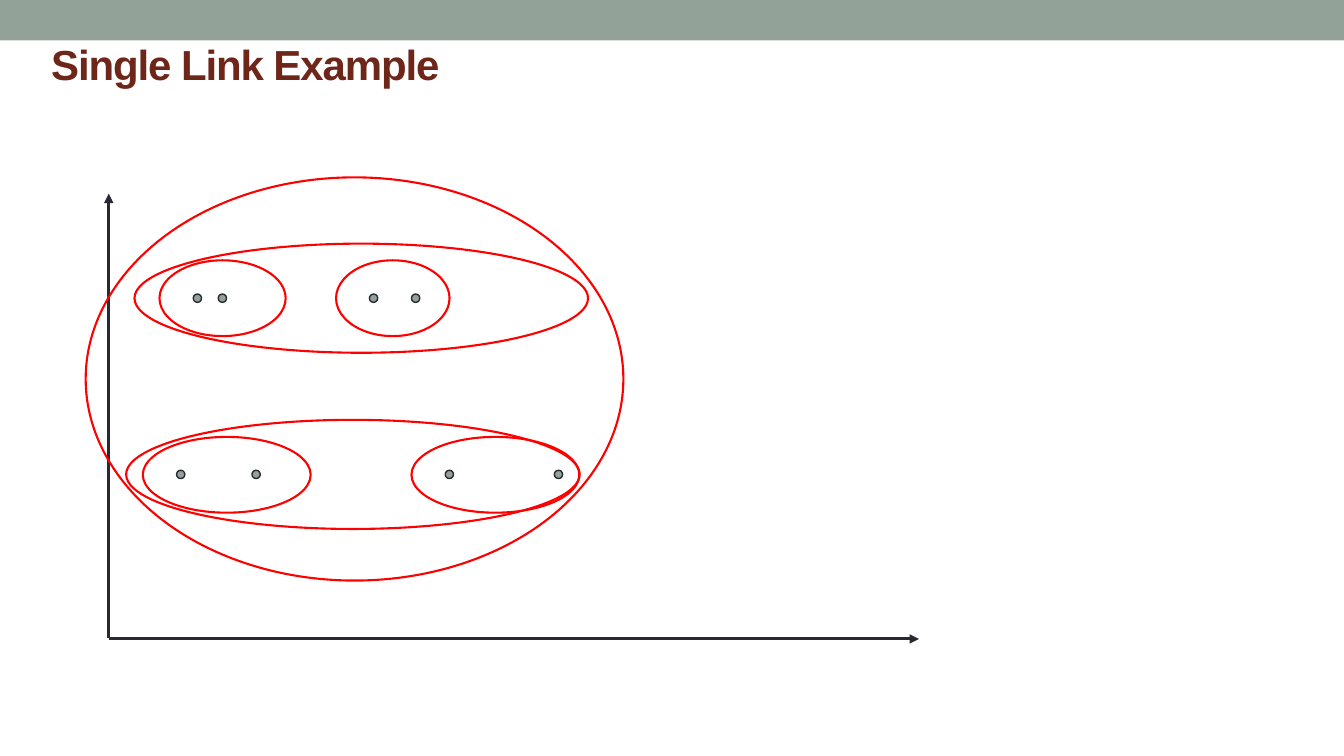
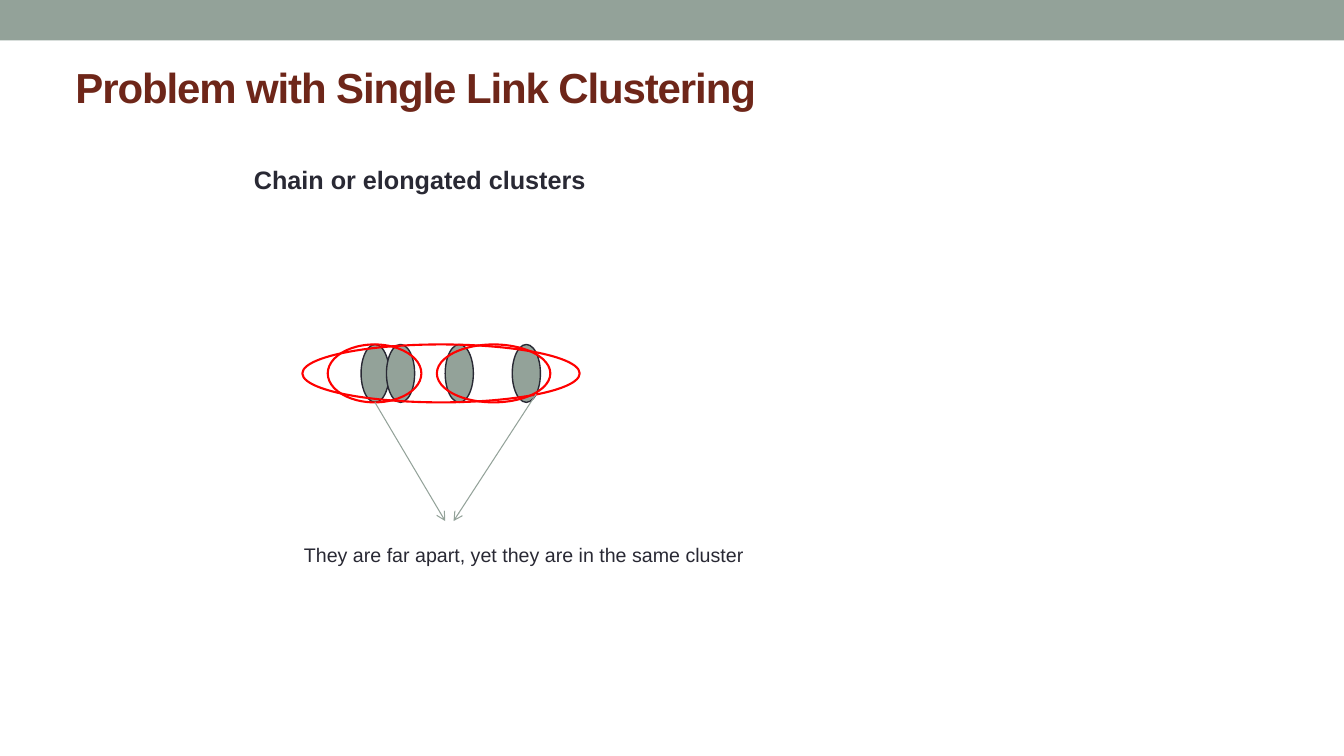
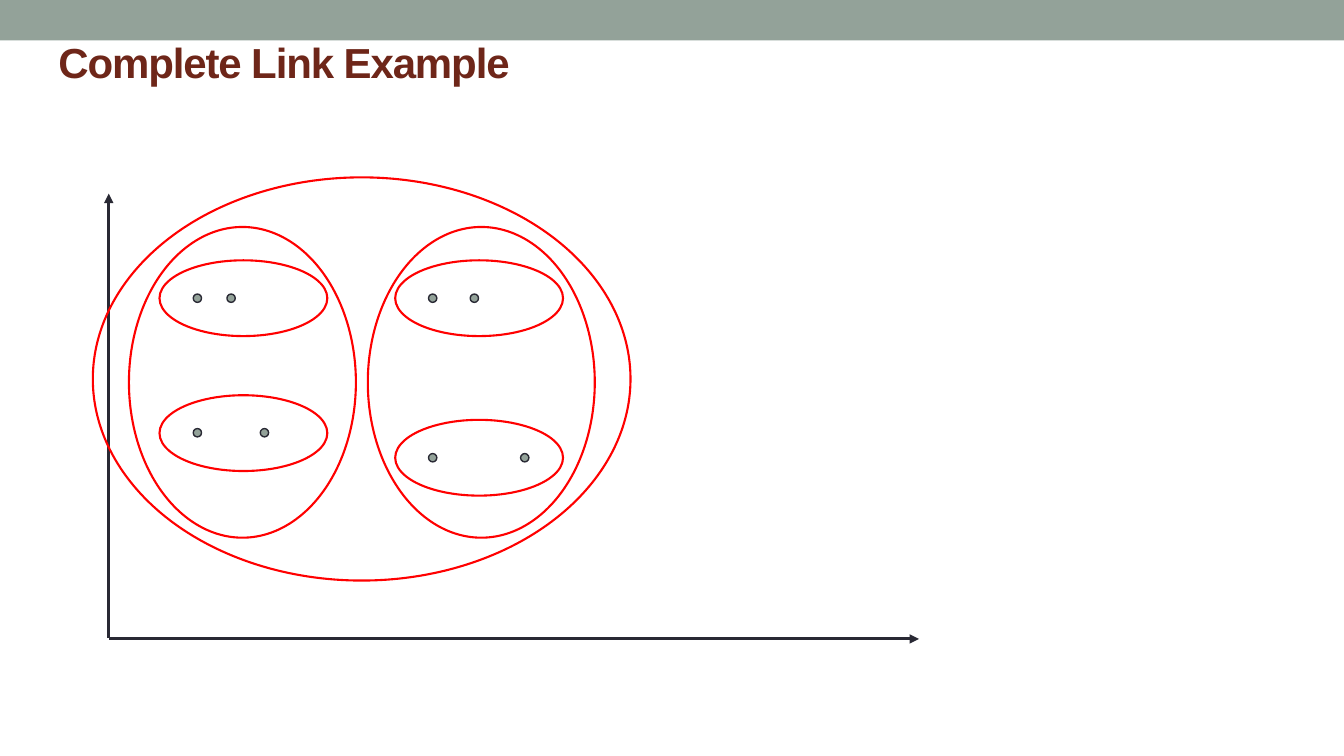
from typing import NamedTuple, Optional

from lxml.etree import SubElement
from pptx import Presentation
from pptx.dml.color import RGBColor
from pptx.enum.shapes import MSO_CONNECTOR as CONNECTOR, MSO_SHAPE as SHAPE
from pptx.enum.text import MSO_ANCHOR as ANCHOR, MSO_AUTO_SIZE as AUTO_SIZE, PP_ALIGN as ALIGN
from pptx.oxml.ns import qn
from pptx.util import Cm, Pt

SAGE = RGBColor(0x93, 0xA2, 0x99)
INK = RGBColor(0x29, 0x29, 0x34)
RUST = RGBColor(0x6E, 0x26, 0x19)
RED = RGBColor(0xFF, 0x00, 0x00)
FONT = "Arial"
SLIDE_W, SLIDE_H = 33.87, 19.05
BAND_H = 1.02
DOT = 0.21


class Box(NamedTuple):
    """Left, top, width and height in centimetres."""
    x: float
    y: float
    w: float
    h: float

    def emu(self) -> list:
        return [Cm(v) for v in self]


class Arrow(NamedTuple):
    """Start and end points in centimetres; the head is at the end."""
    x1: float
    y1: float
    x2: float
    y2: float


class DotRow(NamedTuple):
    y: float
    xs: tuple


class Plot(NamedTuple):
    title: str
    title_x: float
    title_y: float
    dot_rows: tuple
    rings: tuple


AXES = (Arrow(2.74, 16.08, 2.74, 4.88), Arrow(2.74, 16.1, 23.16, 16.1))

SINGLE_LINK = Plot(
    "Single Link Example", 1.09, 0.66,
    dot_rows=(DotRow(7.41, (4.87, 5.5, 9.31, 10.37)),
              DotRow(11.85, (4.45, 6.35, 11.22, 13.97))),
    rings=(Box(4.02, 6.56, 3.18, 1.91), Box(10.37, 11.01, 4.23, 1.91),
           Box(8.47, 6.56, 2.86, 1.91), Box(3.6, 11.01, 4.23, 1.91),
           Box(3.39, 6.14, 11.43, 2.75), Box(3.18, 10.58, 11.43, 2.75),
           Box(2.16, 4.47, 13.55, 10.16)))

COMPLETE_LINK = Plot(
    "Complete Link Example", 1.27, 0.61,
    dot_rows=(DotRow(7.41, (4.87, 5.72, 10.8, 11.85)),
              DotRow(10.8, (4.87, 6.56)),
              DotRow(11.43, (10.8, 13.12))),
    rings=(Box(4.02, 6.56, 4.23, 1.91), Box(9.96, 10.58, 4.23, 1.91),
           Box(9.96, 6.56, 4.23, 1.91), Box(4.02, 9.96, 4.23, 1.91),
           Box(3.25, 5.72, 5.72, 7.83), Box(9.27, 5.72, 5.72, 7.83),
           Box(2.34, 4.47, 13.55, 10.16)))


def write(tf, text: str, *, size: float, color: RGBColor = INK,
          bold: bool = False, spacing: Optional[float] = None) -> None:
    p = tf.paragraphs[0]
    p.alignment = ALIGN.LEFT
    r = p.add_run()
    r.text = text
    r.font.name = FONT
    r.font.size = Pt(size)
    r.font.bold = bold
    r.font.color.rgb = color
    if spacing is not None:
        r._r.get_or_add_rPr().set("spc", str(round(spacing * 100)))


def add_shape(shapes, kind, box: Box, *, fill: Optional[RGBColor] = None,
              line: Optional[RGBColor] = None, width: float = 1):
    sp = shapes.add_shape(kind, *box.emu())
    sp.shadow.inherit = False
    if fill is None:
        sp.fill.background()
    else:
        sp.fill.solid()
        sp.fill.fore_color.rgb = fill
    if line is None:
        sp.line.fill.background()
    else:
        sp.line.color.rgb = line
        sp.line.width = Pt(width)
    return sp


def add_point(shapes, box: Box) -> None:
    add_shape(shapes, SHAPE.OVAL, box, fill=SAGE, line=INK)


def add_ring(shapes, box: Box) -> None:
    add_shape(shapes, SHAPE.OVAL, box, line=RED, width=1.5)


def add_arrow(shapes, arrow: Arrow, *, color: RGBColor, width: float, head: str) -> None:
    cxn = shapes.add_connector(CONNECTOR.STRAIGHT, *[Cm(v) for v in arrow])
    cxn.line.color.rgb = color
    cxn.line.width = Pt(width)
    SubElement(cxn.line._get_or_add_ln(), qn("a:tailEnd"), type=head)
    SubElement(cxn.element.spPr, qn("a:effectLst"))


def add_label(shapes, box: Box, text: str, **fmt) -> None:
    tf = shapes.add_textbox(*box.emu()).text_frame
    tf.word_wrap = False
    tf.auto_size = AUTO_SIZE.SHAPE_TO_FIT_TEXT
    write(tf, text, **fmt)


def add_slide(prs, title: str, x: float, y: float):
    s = prs.slides.add_slide(prs.slide_layouts[5])
    sp = s.shapes.title
    sp.left, sp.top, sp.width, sp.height = Box(x, y, 30.48, 1.91).emu()
    tf = sp.text_frame
    tf.auto_size = AUTO_SIZE.NONE
    tf.word_wrap = True
    tf.vertical_anchor = ANCHOR.MIDDLE
    tf.margin_left = tf.margin_right = Cm(0.2)
    tf.margin_top = tf.margin_bottom = Cm(0.1)
    write(tf, title, size=30, color=RUST, bold=True, spacing=-0.8)
    return s


def move_band_to_layout(s) -> None:
    """Draw the top band and hand it to the layout, so every slide shows it."""
    layout = s.slide_layout
    for ph in list(layout.placeholders):
        if ph.placeholder_format.idx != 0:
            layout.shapes.element.remove(ph.element)
    band = add_shape(s.shapes, SHAPE.RECTANGLE, Box(0, 0, SLIDE_W, BAND_H), fill=SAGE)
    layout.shapes.element.insert(2, band.element)


def add_plot_slide(prs, plot: Plot):
    s = add_slide(prs, plot.title, plot.title_x, plot.title_y)
    axes = s.shapes.add_group_shape()
    for axis in AXES:
        add_arrow(axis_shapes := axes.shapes, axis, color=INK, width=2.25, head="triangle")
    for row in plot.dot_rows:
        for x in row.xs:
            add_point(s.shapes, Box(x, row.y, DOT, DOT))
    for ring in plot.rings:
        add_ring(s.shapes, ring)
    return s


def add_problem_slide(prs) -> None:
    s = add_slide(prs, "Problem with Single Link Clustering", 1.7, 1.24)
    add_label(s.shapes, Box(6.15, 4.02, 8.97, 1.02), "Chain or elongated clusters",
              size=18, bold=True)
    top, height = 8.68, 1.46
    for x in (9.1, 9.74, 11.22, 12.91):
        add_point(s.shapes, Box(x, top, 0.71, height))
    for x, width in ((8.26, 2.36), (11.01, 2.86), (7.62, 6.99)):
        add_ring(s.shapes, Box(x, top, width, height))
    for arrow in (Arrow(9.45, 10.14, 11.22, 13.13), Arrow(13.51, 9.93, 11.43, 13.13)):
        add_arrow(s.shapes, arrow, color=SAGE, width=0.75, head="arrow")
    add_label(s.shapes, Box(7.41, 13.55, 11.63, 0.86),
              "They are far apart, yet they are in the same cluster", size=14)


def main() -> None:
    prs = Presentation()
    prs.slide_width, prs.slide_height = Cm(SLIDE_W), Cm(SLIDE_H)
    move_band_to_layout(add_plot_slide(prs, SINGLE_LINK))
    add_problem_slide(prs)
    add_plot_slide(prs, COMPLETE_LINK)
    prs.save("out.pptx")


if __name__ == "__main__":
    main()
